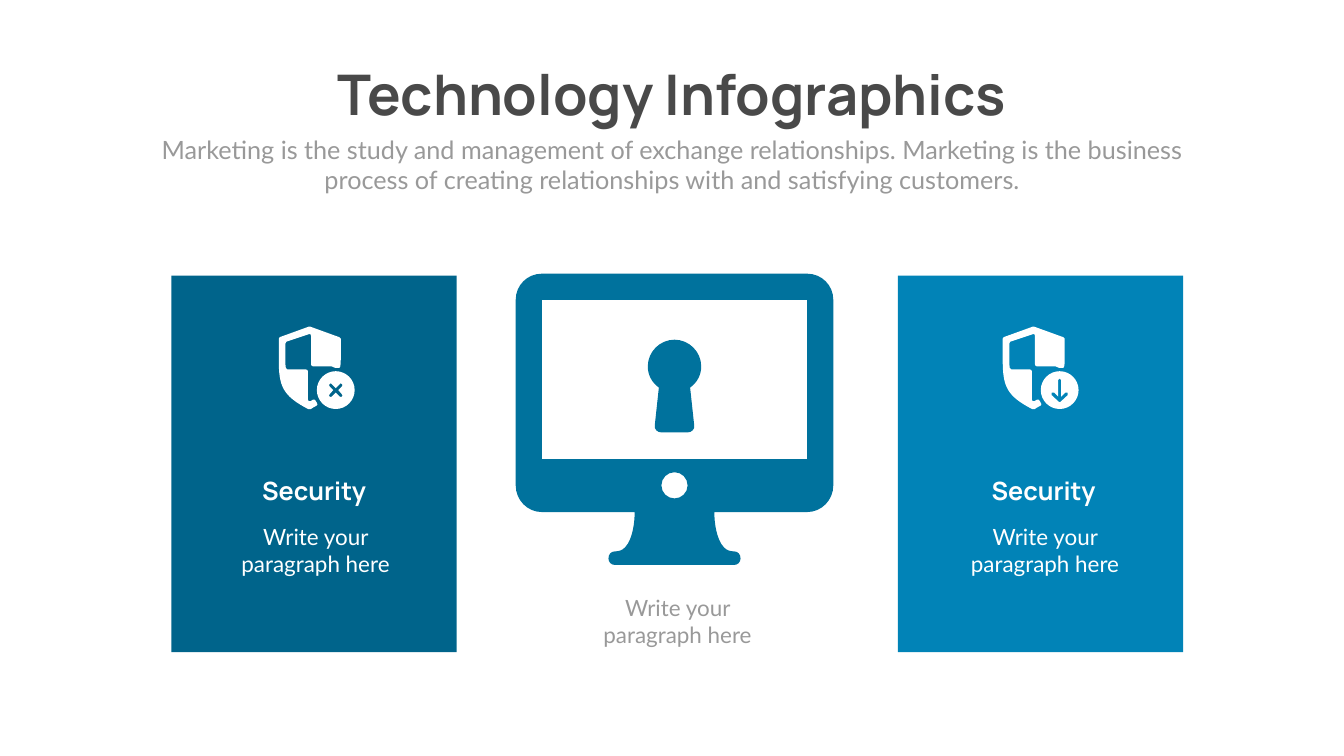
from pptx import Presentation
from pptx.dml.color import RGBColor
from pptx.enum.shapes import MSO_SHAPE
from pptx.enum.text import MSO_AUTO_SIZE, PP_ALIGN
from pptx.oxml.ns import qn
from pptx.util import Inches, Pt

WHITE, GREY, DARK, BLUE = "FFFFFF", "999999", "494949", "00729D"
MIDDLE = 13.38
NOTE = "Write your paragraph here"

KEYHOLE = [(13.38, 6.74), (13.09, 6.74, 12.85, 6.98, 12.85, 7.27),
           (12.85, 7.44, 12.93, 7.59, 13.07, 7.69), (12.99, 8.43),
           (12.98, 8.47, 12.99, 8.51, 13.02, 8.54),
           (13.04, 8.56, 13.08, 8.58, 13.12, 8.58)]
MONITOR = [(10.75, 5.43), (10.46, 5.43, 10.23, 5.66, 10.23, 5.95), (10.23, 9.63),
           (10.23, 9.92, 10.46, 10.16, 10.75, 10.16), (12.59, 10.16),
           (12.59, 10.37, 12.55, 10.7, 12.4, 10.86),
           (12.34, 10.92, 12.28, 10.94, 12.2, 10.94),
           (12.12, 10.94, 12.07, 11, 12.07, 11.08),
           (12.07, 11.15, 12.12, 11.21, 12.2, 11.21)]
SCREEN = [(10.75, 5.95), (16.01, 5.95), (16.01, 9.11), (10.75, 9.11)]
SHIELD = [(0.73, 1.47), (0.72, 1.45, 0.7, 1.44, 0.68, 1.45),
          (0.66, 1.46, 0.65, 1.47, 0.63, 1.48),
          (0.6, 1.49, 0.58, 1.48, 0.58, 1.45), (0.58, 0.89),
          (0.58, 0.87, 0.56, 0.85, 0.54, 0.85), (0.17, 0.85),
          (0.15, 0.85, 0.14, 0.84, 0.14, 0.82),
          (0.13, 0.77, 0.13, 0.71, 0.13, 0.65), (0.13, 0.34),
          (0.13, 0.32, 0.14, 0.31, 0.15, 0.3), (0.6, 0.15),
          (0.62, 0.14, 0.64, 0.15, 0.64, 0.18), (0.64, 0.75),
          (0.64, 0.77, 0.66, 0.79, 0.68, 0.79), (1.05, 0.79),
          (1.08, 0.79, 1.09, 0.82, 1.12, 0.82),
          (1.14, 0.82, 1.16, 0.82, 1.18, 0.82),
          (1.2, 0.83, 1.22, 0.81, 1.22, 0.79),
          (1.23, 0.75, 1.23, 0.7, 1.23, 0.65), (1.23, 0.24),
          (1.23, 0.22, 1.22, 0.21, 1.2, 0.21), (0.62, 0),
          (0.61, 0, 0.61, 0, 0.6, 0), (0.02, 0.21),
          (0, 0.21, 0, 0.22, 0, 0.24), (0, 0.65),
          (0, 1.18, 0.07, 1.37, 0.59, 1.64),
          (0.6, 1.64, 0.62, 1.64, 0.63, 1.64),
          (0.67, 1.61, 0.71, 1.59, 0.75, 1.57),
          (0.77, 1.56, 0.77, 1.54, 0.76, 1.52)]
CROSS = [(0, -0.04), (-0.08, -0.12), (-0.09, -0.14, -0.11, -0.14, -0.12, -0.12),
         (-0.14, -0.11, -0.14, -0.09, -0.12, -0.07), (-0.05, 0), (-0.12, 0.08),
         (-0.14, 0.1, -0.14, 0.12, -0.12, 0.13),
         (-0.12, 0.14, -0.09, 0.14, -0.08, 0.13), (0, 0.05)]
ARROW = [(0, -0.23), (-0.02, -0.23, -0.03, -0.22, -0.03, -0.2), (-0.03, 0.13),
         (-0.11, 0.05), (-0.13, 0.04, -0.15, 0.04, -0.16, 0.05),
         (-0.17, 0.06, -0.17, 0.08, -0.16, 0.1), (-0.02, 0.23),
         (-0.02, 0.24, -0.01, 0.24, 0, 0.24)]


def tint(code):
    """Turn a hex string into a colour."""
    return RGBColor.from_string(code)


def pairs(step):
    """Split a step into its points."""
    return list(zip(step[::2], step[1::2]))


def mirror(path, axis):
    """Close the left half of an outline with its reflection."""
    def flip(x, y):
        return 2 * axis - x, y

    ends = [step[-2:] for step in path]
    back = [] if ends[-1][0] == axis else [flip(*ends[-1])]
    for i in range(len(path) - 1, 0, -1):
        points = pairs(path[i])[-2::-1] + [ends[i - 1]]
        back.append(sum((flip(*point) for point in points), ()))
    return path + back


def ring(x, y, r):
    """Give the outline of a circle around a centre."""
    k = 0.55 * r
    half = [(x, y - r), (x - k, y - r, x - r, y - k, x - r, y),
            (x - r, y + k, x - k, y + r, x, y + r)]
    return mirror(half, x)


def shift(path, x, y):
    """Move an outline by a distance."""
    return [sum(((px + x, py + y) for px, py in pairs(step)), ()) for step in path]


def paint(shape, code):
    """Give a shape a plain fill with no line or shadow."""
    shape.shadow.inherit = False
    shape.fill.solid()
    shape.fill.fore_color.rgb = tint(code)
    shape.line.fill.background()


def bend(shape, steps):
    """Join each three lines that belong to a curve step."""
    lines = iter(list(shape._element.iter(qn("a:lnTo"))))
    for step in steps:
        line = next(lines)
        if len(step) == 6:
            line.tag = qn("a:cubicBezTo")
            for _ in range(2):
                spare = next(lines)
                line.append(spare[0])
                spare.getparent().remove(spare)


def draw(slide, code, *loops):
    """Draw one freeform whose later loops are holes."""
    pen = None
    for loop in loops:
        points = [(Inches(x), Inches(y)) for step in loop for x, y in pairs(step)]
        if pen is None:
            pen = slide.shapes.build_freeform(*points[0])
        else:
            pen.move_to(*points[0])
        pen.add_line_segments(points[1:], close=True)
    shape = pen.convert_to_shape()
    bend(shape, [step for loop in loops for step in loop[1:]])
    paint(shape, code)


def write(slide, text, box, size, code, font="Lato", bold=False, wrap=True):
    """Add a centred text box."""
    frame = slide.shapes.add_textbox(*map(Inches, box)).text_frame
    frame.word_wrap = wrap
    frame.auto_size = MSO_AUTO_SIZE.SHAPE_TO_FIT_TEXT
    line = frame.paragraphs[0]
    line.text = text
    line.alignment = PP_ALIGN.CENTER
    line.font.name, line.font.size, line.font.bold = font, Pt(size), bold
    line.font.color.rgb = tint(code)


def card(slide, left, code):
    """Add the coloured panel of a card."""
    box = map(Inches, (left, 5.47, 5.66, 7.47))
    paint(slide.shapes.add_shape(MSO_SHAPE.RECTANGLE, *box), code)


def icon(slide, left, sign):
    """Add a shield with a round badge that shows a sign."""
    x, y = left + 1.13, 7.74
    draw(slide, WHITE, ring(x, y, 0.375), shift(mirror(sign, 0), x, y))
    draw(slide, WHITE, shift(SHIELD, left, 6.48))


def label(slide, left):
    """Add the heading and note of a card."""
    write(slide, NOTE, (left + 0.64, 10.33, 3.44, 1.18), 32, WHITE)
    write(slide, "Security", (left, 9.38, 4.66, 0.71), 36, WHITE, "Manrope", True)


def main():
    """Build the slide and save it."""
    deck = Presentation()
    deck.slide_width, deck.slide_height = Inches(26.66), Inches(15)
    slide = deck.slides.add_slide(deck.slide_layouts[6])
    write(slide, "Technology Infographics", (6.04, 1.14, 14.59, 1.45), 80, DARK,
          "Manrope", True, False)
    write(slide, "Marketing is the study and management of exchange relationships. "
          "Marketing is the business process of creating relationships with and "
          "satisfying customers.", (2.92, 2.61, 20.82, 1.31), 36, GREY)
    draw(slide, BLUE, mirror(KEYHOLE, MIDDLE))
    draw(slide, BLUE, mirror(MONITOR, MIDDLE), ring(MIDDLE, 9.63, 0.26), SCREEN)
    card(slide, 3.4, "00648B")
    card(slide, 17.81, "0183B7")
    icon(slide, 5.53, CROSS)
    icon(slide, 19.89, ARROW)
    label(slide, 3.9)
    label(slide, 18.37)
    write(slide, NOTE, (11.72, 11.74, 3.44, 1.18), 32, GREY)
    deck.save("out.pptx")


if __name__ == "__main__":
    main()
